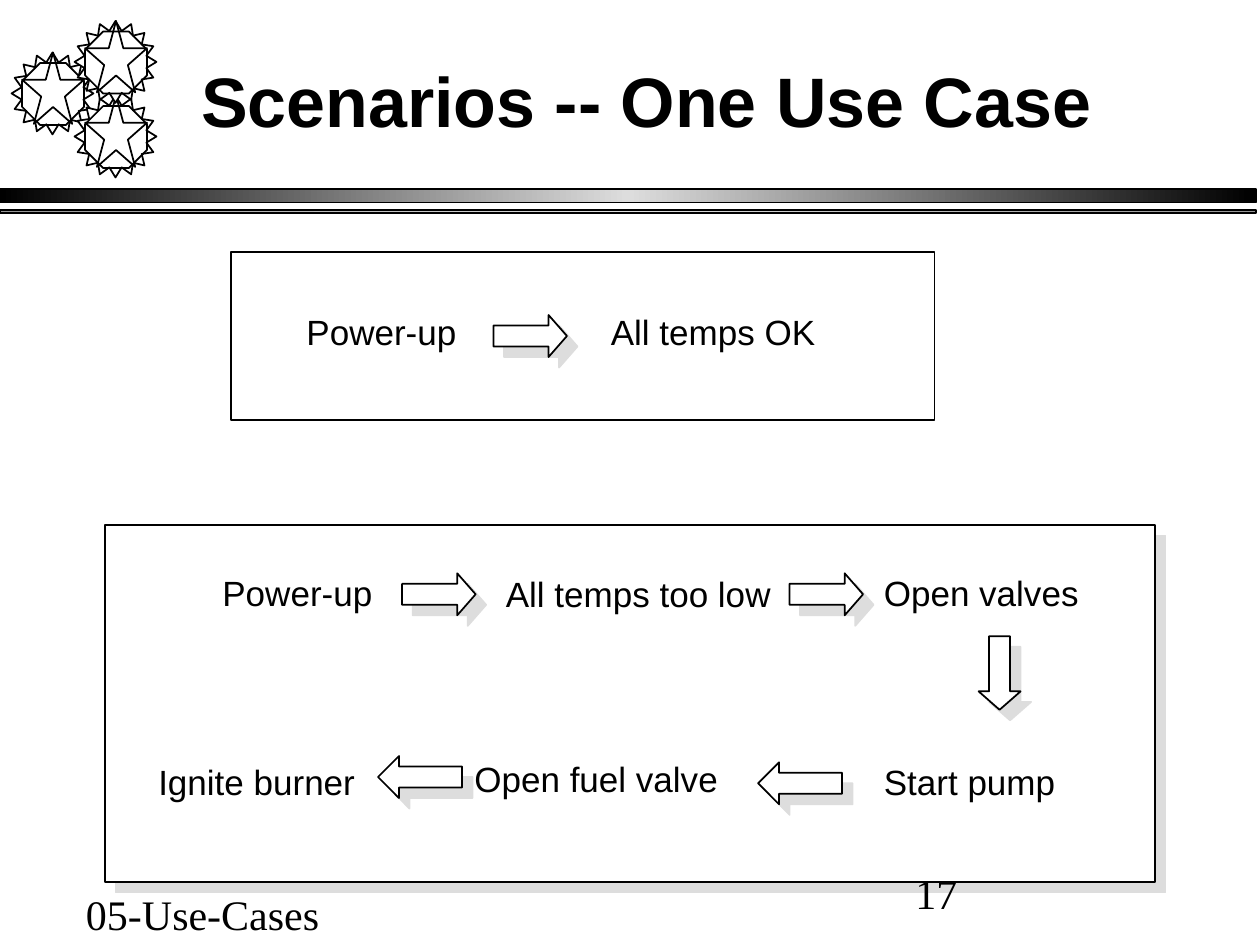
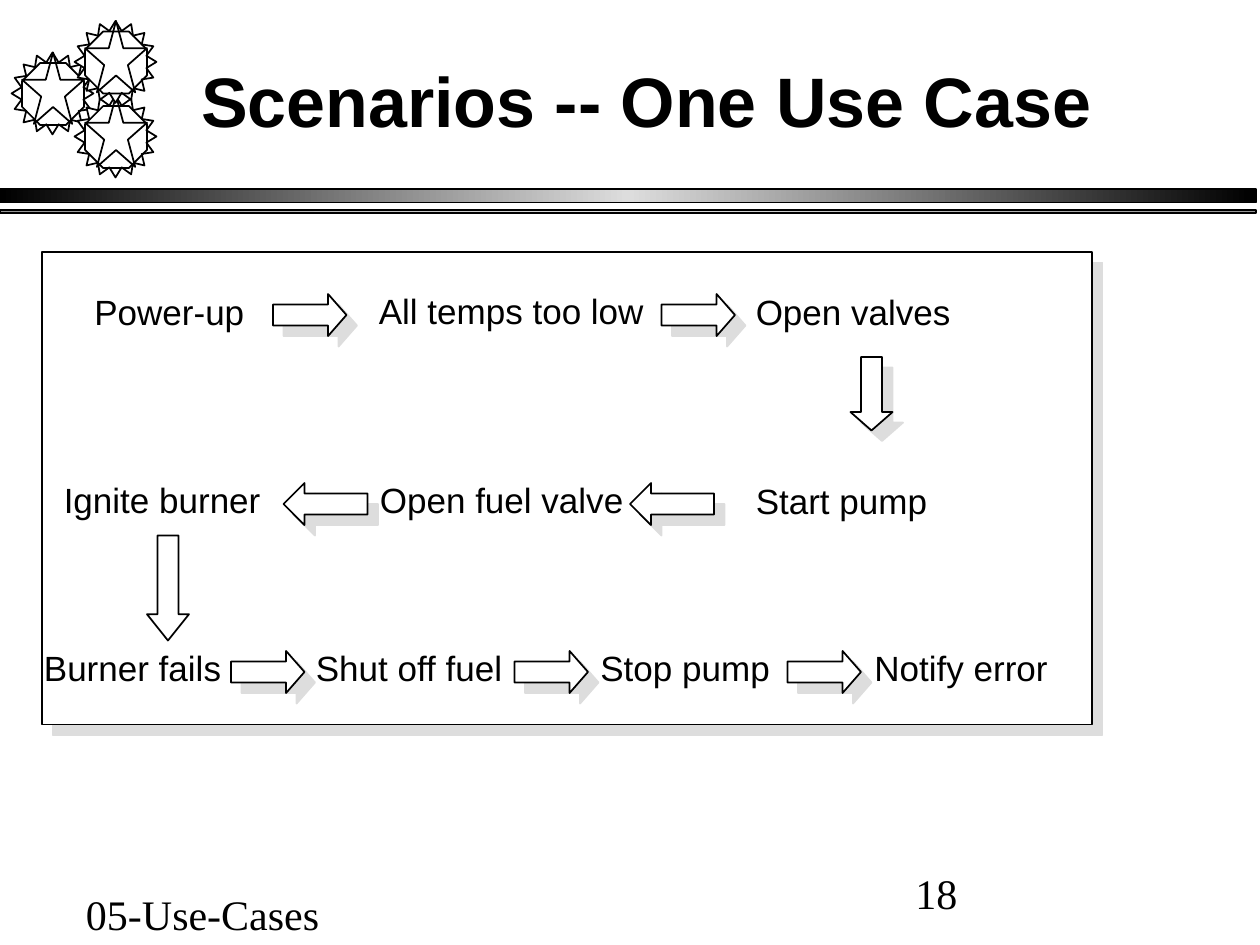
"""Builds two use-case scenario slides laid out on a grid of 120 columns by 90 rows."""
import copy

import pptx
import pptx.dml.color
import pptx.enum.shapes
import pptx.enum.text
import pptx.oxml
import pptx.oxml.ns
import pptx.util

TITLE = "Scenarios -- One Use Case"
FOOTER = "05-Use-Cases"

SCENARIOS = [
    {
        "page": "17",
        "panels": [((10, 50, 100, 34), True), ((22, 24, 67, 16), False)],
        "steps": [
            ("Power-up", 28, 29), ("All temps OK", 57, 29),
            ("Power-up", 20, 53.8), ("All temps too low", 47, 53.9), ("Open valves", 83, 53.8),
            ("Start pump", 83, 71.8), ("Open fuel valve", 44, 71.6), ("Ignite burner", 13.9, 71.8),
        ],
        "arrows": [
            ("right", 47, 30, 7, True),
            ("right", 38.3, 54.6, 7, True), ("right", 75.2, 54.6, 7, True),
            ("down", 93.2, 60.6, 7, True),
            ("left", 72.2, 72.6, 8, True), ("left", 36, 72, 8, True),
        ],
    },
    {
        "page": "18",
        "panels": [((4, 24, 100, 45), True)],
        "steps": [
            ("Power-up", 7.8, 27.1), ("All temps too low", 34.9, 27), ("Open valves", 70.8, 27.1),
            ("Start pump", 70.8, 45.1), ("Open fuel valve", 35, 45), ("Ignite burner", 4.9, 45),
            ("Burner fails", 3, 61), ("Shut off fuel", 28.9, 61),
            ("Stop pump", 56, 61), ("Notify error", 82.1, 61),
        ],
        "arrows": [
            ("right", 26, 28, 7, True), ("right", 63, 28, 7, True),
            ("down", 81, 34, 7, True),
            ("left", 60, 46, 8, True), ("left", 27, 46, 8, True),
            ("down", 14, 51, 10, False),
            ("right", 22, 62, 7, True), ("right", 49, 62, 7, True), ("right", 75, 62, 7, True),
        ],
    },
]

STEP_WIDTHS = {
    "Power-up": 17.2, "All temps OK": 22.3, "All temps too low": 28.1, "Open valves": 21.4,
    "Start pump": 19.2, "Open fuel valve": 26.1, "Ignite burner": 21.6, "Burner fails": 19.8,
    "Shut off fuel": 20.7, "Stop pump": 19, "Notify error": 19.3,
}
COLORS = {"ink": "000000", "paper": "FFFFFF", "shade": "DDDDDD", "steel": "969696"}
BANDS = [((0, 18, 119.6, 1.3), "ink"), ((0, 20, 119.6, 0.3), "steel")]
GEARS = [(1.1, 5), (7.1, 9.1), (7.1, 2)]
TITLE_BOX = (18, 2, 102, 15)
FOOTER_BOX = (7, 84, 68, 6)
PAGE_BOX = (86, 82, 25, 6)
STEP_HEIGHT = 5.3
ARROW_THICKNESS = 4

KINDS = pptx.enum.shapes.MSO_SHAPE
ARROWS = {"right": KINDS.RIGHT_ARROW, "left": KINDS.LEFT_ARROW, "down": KINDS.DOWN_ARROW}
WIDTH, HEIGHT = pptx.util.Inches(10), pptx.util.Inches(7.5)
CELL = WIDTH / 120


def rgb(name):
    return pptx.dml.color.RGBColor.from_string(COLORS[name])


def place(box):
    return [round(cells * CELL) for cells in box]


def add_outline(slide, kind, box, fill="paper", shadow=False):
    shape = slide.shapes.add_shape(kind, *place(box))
    shape.shadow.inherit = False
    shape.line.color.rgb = rgb("ink")
    shape.line.width = pptx.util.Pt(1)
    if fill:
        shape.fill.solid()
        shape.fill.fore_color.rgb = rgb(fill)
    else:
        shape.fill.background()
    if shadow:
        effects = shape._element.spPr.find(pptx.oxml.ns.qn("a:effectLst"))
        effects.append(pptx.oxml.parse_xml(
            f'<a:outerShdw {pptx.oxml.ns.nsdecls("a")} dist="{pptx.util.Pt(8.5)}" '
            f'dir="2700000" algn="ctr" rotWithShape="0">'
            f'<a:srgbClr val="{COLORS["shade"]}"/></a:outerShdw>'))
    return shape


def add_text(slide, text, box, size, font="Arial", bold=False, middle=False):
    frame = slide.shapes.add_textbox(*place(box)).text_frame
    frame.word_wrap = True
    if middle:
        frame.vertical_anchor = pptx.enum.text.MSO_ANCHOR.MIDDLE
    paragraph = frame.paragraphs[0]
    paragraph.text = text
    paragraph.font.name = font
    paragraph.font.size = pptx.util.Pt(size)
    paragraph.font.bold = bold
    paragraph.font.color.rgb = rgb("ink")


def add_band(slide, box, edge):
    band = add_outline(slide, KINDS.RECTANGLE, box)
    band.fill.gradient()
    band.fill.gradient_angle = 0
    stops = band._element.spPr.find(".//" + pptx.oxml.ns.qn("a:gsLst"))
    stops.append(copy.deepcopy(stops[-1]))
    for stop, color, position in zip(band.fill.gradient_stops, (edge, "shade", edge), (0, 0.5, 1)):
        stop.color.rgb = rgb(color)
        stop.position = position


def add_gear(slide, left, top):
    teeth = add_outline(slide, KINDS.STAR_16_POINT, (left, top, 7.8, 7.8))
    teeth.adjustments[0] = 0.385
    add_outline(slide, KINDS.STAR_5_POINT, (left + 1, top, 5.9, 6.8))
    add_outline(slide, KINDS.OCTAGON, (left + 1, top + 1, 5.9, 5.9), fill=None)


def add_arrow(slide, direction, left, top, length, shadow):
    size = (ARROW_THICKNESS, length) if direction == "down" else (length, ARROW_THICKNESS)
    arrow = add_outline(slide, ARROWS[direction], (left, top, *size), shadow=shadow)
    arrow.adjustments[1] = length / 4 / ARROW_THICKNESS


def add_frame(slide, page):
    for box, edge in BANDS:
        add_band(slide, box, edge)
    for left, top in GEARS:
        add_gear(slide, left, top)
    add_text(slide, TITLE, TITLE_BOX, 40, bold=True, middle=True)
    for text, box in ((FOOTER, FOOTER_BOX), (page, PAGE_BOX)):
        add_text(slide, text, box, 24, font="Times New Roman")


def add_scenario(slide, scenario):
    for box, shadow in scenario["panels"]:
        add_outline(slide, KINDS.RECTANGLE, box, shadow=shadow)
    for step, left, top in scenario["steps"]:
        add_text(slide, step, (left, top, STEP_WIDTHS[step], STEP_HEIGHT), 20)
    for arrow in scenario["arrows"]:
        add_arrow(slide, *arrow)


def main():
    deck = pptx.Presentation()
    deck.slide_width, deck.slide_height = WIDTH, HEIGHT
    for scenario in SCENARIOS:
        slide = deck.slides.add_slide(deck.slide_layouts[6])
        add_scenario(slide, scenario)
        add_frame(slide, scenario["page"])
    deck.save("out.pptx")


if __name__ == "__main__":
    main()
